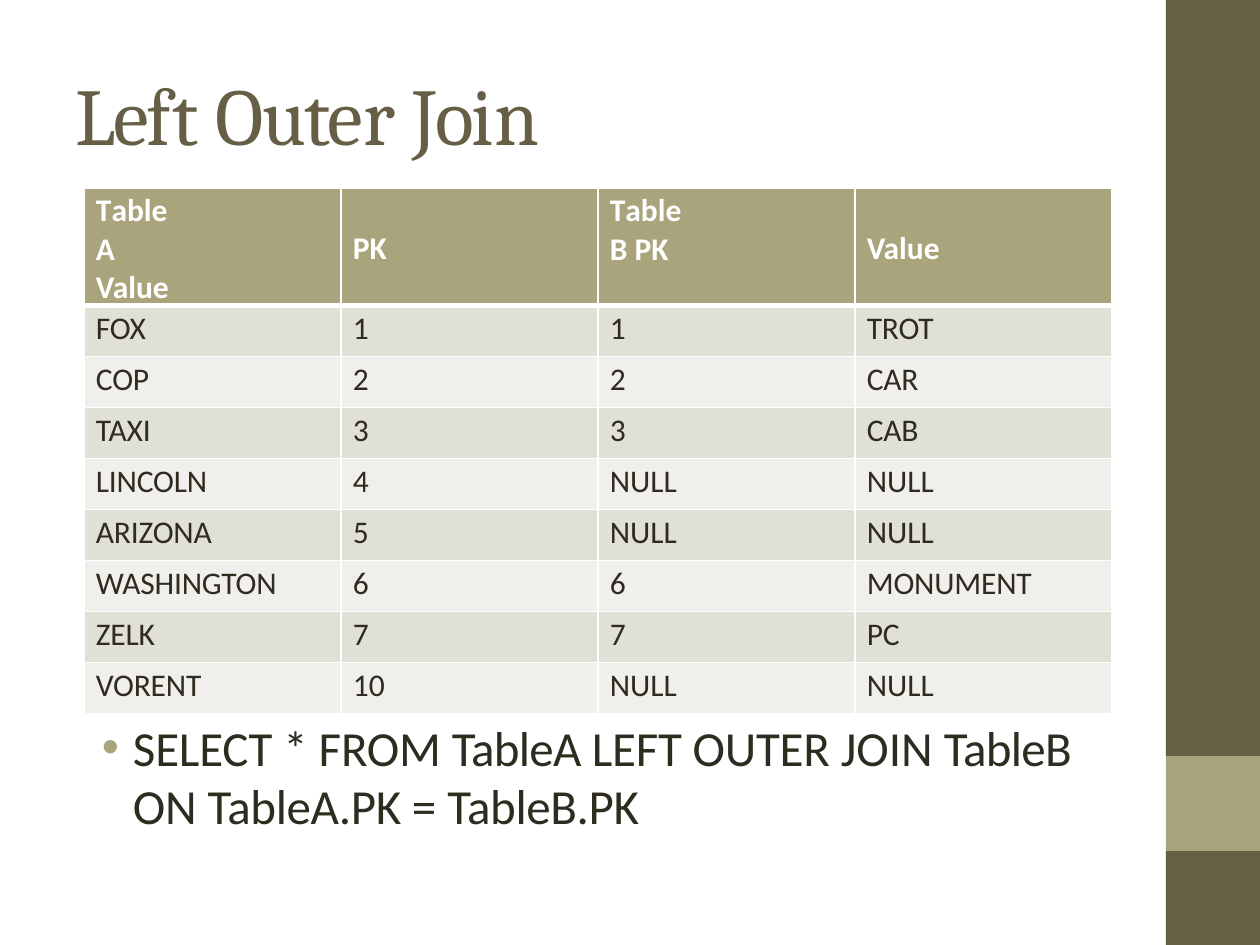
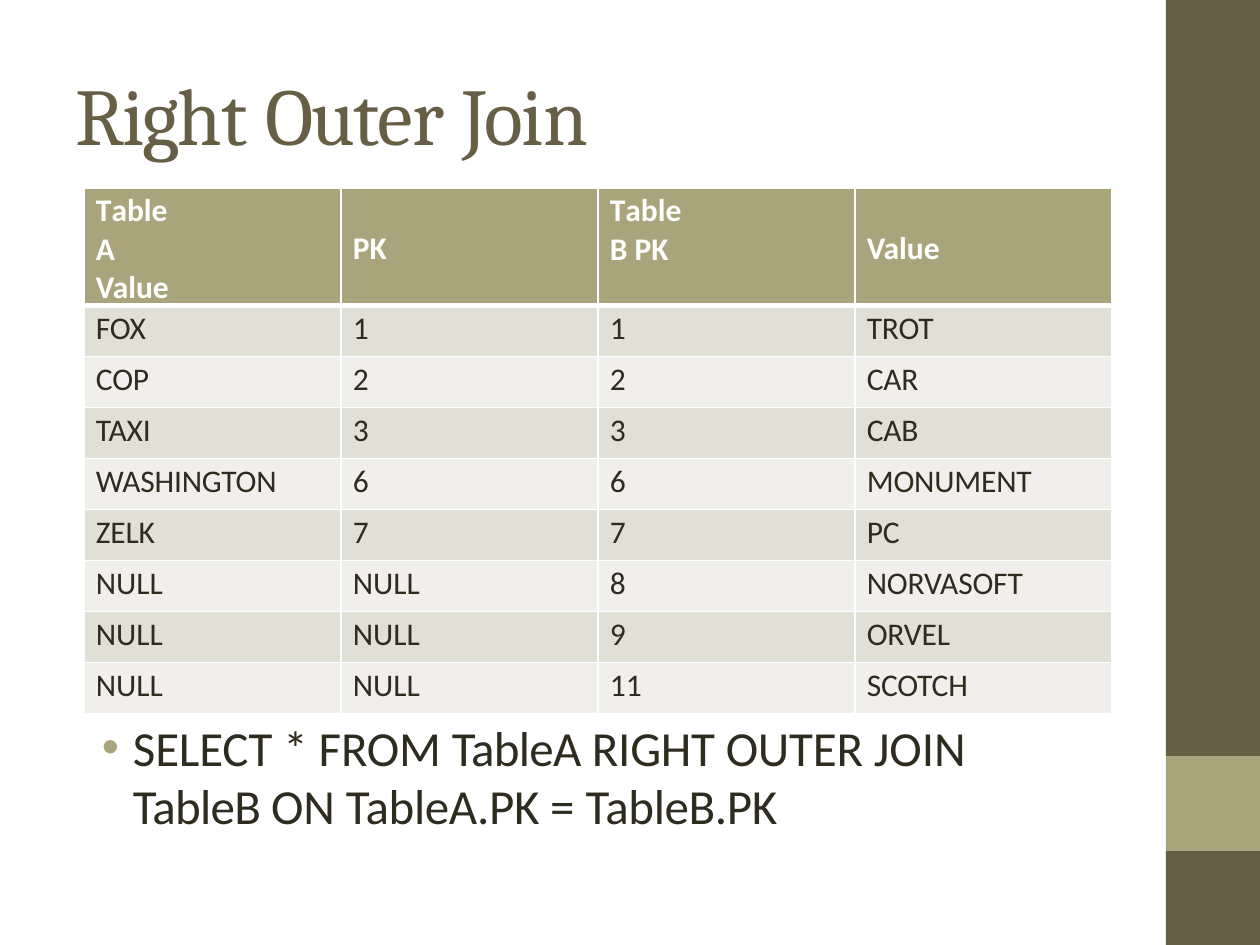
"""Build two slides on SQL outer joins: a result table and its query."""
from dataclasses import dataclass

from lxml.etree import SubElement
from pptx import Presentation
from pptx.dml.color import RGBColor
from pptx.enum.shapes import MSO_SHAPE
from pptx.enum.text import MSO_ANCHOR as Anchor, MSO_AUTO_SIZE as AutoSize, PP_ALIGN as Align
from pptx.oxml.ns import qn
from pptx.util import Emu, Pt

EMU_PER_PX = 914400 / 126
SLIDE_W, SLIDE_H = 1260, 945

DARK = RGBColor(0x67, 0x5E, 0x46)
ACCENT = RGBColor(0xA9, 0xA4, 0x7B)
INK = RGBColor(0x2E, 0x2B, 0x1F)
WHITE = RGBColor(0xFF, 0xFF, 0xFF)
ROW_FILLS = (RGBColor(0xE1, 0xE0, 0xD6), RGBColor(0xF0, 0xEF, 0xEB))

BAND_LEFT, ACCENT_TOP, ACCENT_BOTTOM = 1166, 756, 851
TABLE_LEFT, TABLE_TOP = 84, 188
COLUMN_W, HEADER_H, ROW_H = 257, 88, 51
CELL_INDENT, CELL_TOP = 12, 4
NARROW_W = 80  # text width of the headings that break over lines

HEADINGS = ("TableA Value", "PK", "TableB PK", "Value")
QUERY_TRACKING = {"*": 0, "JOIN": 0, "=": 0, "TableA": -0.4, "TableB": -0.4,
                  "TableA.PK": -0.2, "TableB.PK": -0.2}


@dataclass(frozen=True)
class TextStyle:
    """Look of a run of text."""
    font: str
    size: float
    color: RGBColor
    bold: bool = False


TITLE = TextStyle("Cambria", 46, DARK)
QUERY = TextStyle("Calibri", 28, INK)
HEADING = TextStyle("Calibri", 18, WHITE, True)
VALUE = TextStyle("Calibri", 18, INK)


@dataclass(frozen=True)
class JoinSlide:
    """Content of one slide, with the widths of its title and query."""
    title: str
    title_w: int
    query: str
    query_w: int
    rows: tuple[tuple[str, ...], ...]


MATCHED_START = (
    ("FOX", "1", "1", "TROT"),
    ("COP", "2", "2", "CAR"),
    ("TAXI", "3", "3", "CAB"),
)
MATCHED_END = (
    ("WASHINGTON", "6", "6", "MONUMENT"),
    ("ZELK", "7", "7", "PC"),
)
JOINS = (
    JoinSlide(
        "Left Outer Join", 479,
        "SELECT * FROM TableA LEFT OUTER JOIN TableB ON TableA.PK = TableB.PK", 987,
        MATCHED_START + (
            ("LINCOLN", "4", "NULL", "NULL"),
            ("ARIZONA", "5", "NULL", "NULL"),
        ) + MATCHED_END + (("VORENT", "10", "NULL", "NULL"),),
    ),
    JoinSlide(
        "Right Outer Join", 527,
        "SELECT * FROM TableA RIGHT OUTER JOIN TableB ON TableA.PK = TableB.PK", 878,
        MATCHED_START + MATCHED_END + (
            ("NULL", "NULL", "8", "NORVASOFT"),
            ("NULL", "NULL", "9", "ORVEL"),
            ("NULL", "NULL", "11", "SCOTCH"),
        ),
    ),
)


def px(pixels: float) -> Emu:
    """Turn pixels into EMU."""
    return Emu(round(pixels * EMU_PER_PX))


def add_run(paragraph, text: str, style: TextStyle, tracking: float = 0) -> None:
    """Add a styled run with letter spacing in points."""
    run = paragraph.add_run()
    run.text = text
    font = run.font
    font.name, font.size, font.bold = style.font, Pt(style.size), style.bold
    font.color.rgb = style.color
    if tracking:
        font._element.set("spc", str(round(tracking * 100)))


def prepare_frame(shape):
    """Set the common insets of a text shape and return its paragraph."""
    frame = shape.text_frame
    frame.word_wrap, frame.auto_size = True, AutoSize.SHAPE_TO_FIT_TEXT
    frame.vertical_anchor = Anchor.TOP
    frame.margin_left = frame.margin_right = frame.margin_bottom = 0
    frame.margin_top = px(1)
    paragraph = frame.paragraphs[0]
    paragraph.alignment = Align.LEFT
    return paragraph


def paint(shape, color: RGBColor) -> None:
    """Give a shape a plain fill without line or shadow."""
    shape.shadow.inherit = False
    shape.fill.solid()
    shape.fill.fore_color.rgb = color
    shape.line.fill.background()


def add_side_band(slide) -> None:
    """Draw the dark band on the right with its accent block."""
    builder = slide.shapes.build_freeform(BAND_LEFT, 0, scale=EMU_PER_PX)
    for top, bottom in ((0, ACCENT_TOP), (ACCENT_BOTTOM, SLIDE_H)):
        if top:
            builder.move_to(BAND_LEFT, top)
        builder.add_line_segments(
            [(SLIDE_W, top), (SLIDE_W, bottom), (BAND_LEFT, bottom)], close=True)
    paint(builder.convert_to_shape(), DARK)
    accent = slide.shapes.add_shape(
        MSO_SHAPE.RECTANGLE, px(BAND_LEFT), px(ACCENT_TOP),
        px(SLIDE_W - BAND_LEFT), px(ACCENT_BOTTOM - ACCENT_TOP))
    paint(accent, ACCENT)


def add_title(slide, join: JoinSlide) -> None:
    """Place the title; letters are tight except at word ends."""
    title = slide.shapes.title
    title.left, title.top = px(75), px(64)
    title.width, title.height = px(join.title_w), px(101)
    paragraph = prepare_frame(title)
    words = join.title.split()
    for word in words:
        add_run(paragraph, word[:-1], TITLE, -1.1)
        add_run(paragraph, word[-1] + ("" if word is words[-1] else " "), TITLE)


def add_query(slide, join: JoinSlide) -> None:
    """Add the bulleted SQL statement below the table."""
    box = slide.shapes.add_textbox(px(100), px(716), px(join.query_w), px(121))
    paragraph = prepare_frame(box)
    properties = paragraph._p.get_or_add_pPr()
    properties.set("marL", str(px(33)))
    properties.set("indent", str(px(-31)))
    bullet_color = SubElement(properties, qn("a:buClr"))
    SubElement(bullet_color, qn("a:srgbClr"), val=str(ACCENT))
    SubElement(properties, qn("a:buFont"), typeface="Arial")
    SubElement(properties, qn("a:buChar"), char="•")
    words = join.query.split()
    for position, word in enumerate(words, start=1):
        gap = " " if position < len(words) else ""
        add_run(paragraph, word + gap, QUERY, QUERY_TRACKING.get(word, -0.1))


def style_cell(cell, fill: RGBColor, top_pt: int, bottom_pt: int) -> None:
    """Set white borders, the fill and the margins of a cell."""
    properties = cell._tc.get_or_add_tcPr()
    for side, width in (("L", 1), ("R", 1), ("T", top_pt), ("B", bottom_pt)):
        border = SubElement(properties, qn(f"a:ln{side}"), w=str(Pt(width)))
        color = SubElement(SubElement(border, qn("a:solidFill")), qn("a:srgbClr"))
        color.set("val", str(WHITE))
    cell.fill.solid()
    cell.fill.fore_color.rgb = fill
    cell.margin_left, cell.margin_top = px(CELL_INDENT), px(CELL_TOP)
    cell.margin_right = cell.margin_bottom = 0


def fill_heading(cell, text: str) -> None:
    """Write a heading; those naming a table break in a narrow measure."""
    style_cell(cell, ACCENT, 1, 3)
    paragraph = cell.text_frame.paragraphs[0]
    if text.startswith("Table"):
        cell.margin_right = px(COLUMN_W - CELL_INDENT - NARROW_W)
        add_run(paragraph, text[0], HEADING, -1.4)
        add_run(paragraph, text[1:], HEADING)
    else:
        cell.vertical_anchor = Anchor.MIDDLE
        add_run(paragraph, text, HEADING)


def add_result_table(slide, rows: tuple[tuple[str, ...], ...]) -> None:
    """Add the join result with its heading row."""
    frame = slide.shapes.add_table(
        len(rows) + 1, len(HEADINGS), px(TABLE_LEFT), px(TABLE_TOP),
        px(COLUMN_W * len(HEADINGS)), px(HEADER_H + ROW_H * len(rows)))
    table = frame.table
    for column in table.columns:
        column.width = px(COLUMN_W)
    table.rows[0].height = px(HEADER_H)
    for index, heading in enumerate(HEADINGS):
        fill_heading(table.cell(0, index), heading)
    for number, values in enumerate(rows, start=1):
        table.rows[number].height = px(ROW_H)
        for index, value in enumerate(values):
            cell = table.cell(number, index)
            style_cell(cell, ROW_FILLS[(number - 1) % 2], 3 if number == 1 else 1, 1)
            tracking = 0 if value.isdigit() or value == "NULL" else -0.1
            add_run(cell.text_frame.paragraphs[0], value, VALUE, tracking)


def main() -> None:
    """Build and save the presentation."""
    deck = Presentation()
    deck.slide_width, deck.slide_height = px(SLIDE_W), px(SLIDE_H)
    title_only = deck.slide_layouts[5]
    for join in JOINS:
        slide = deck.slides.add_slide(title_only)
        add_side_band(slide)
        add_title(slide, join)
        add_query(slide, join)
        add_result_table(slide, join.rows)
    deck.save("out.pptx")


main()
